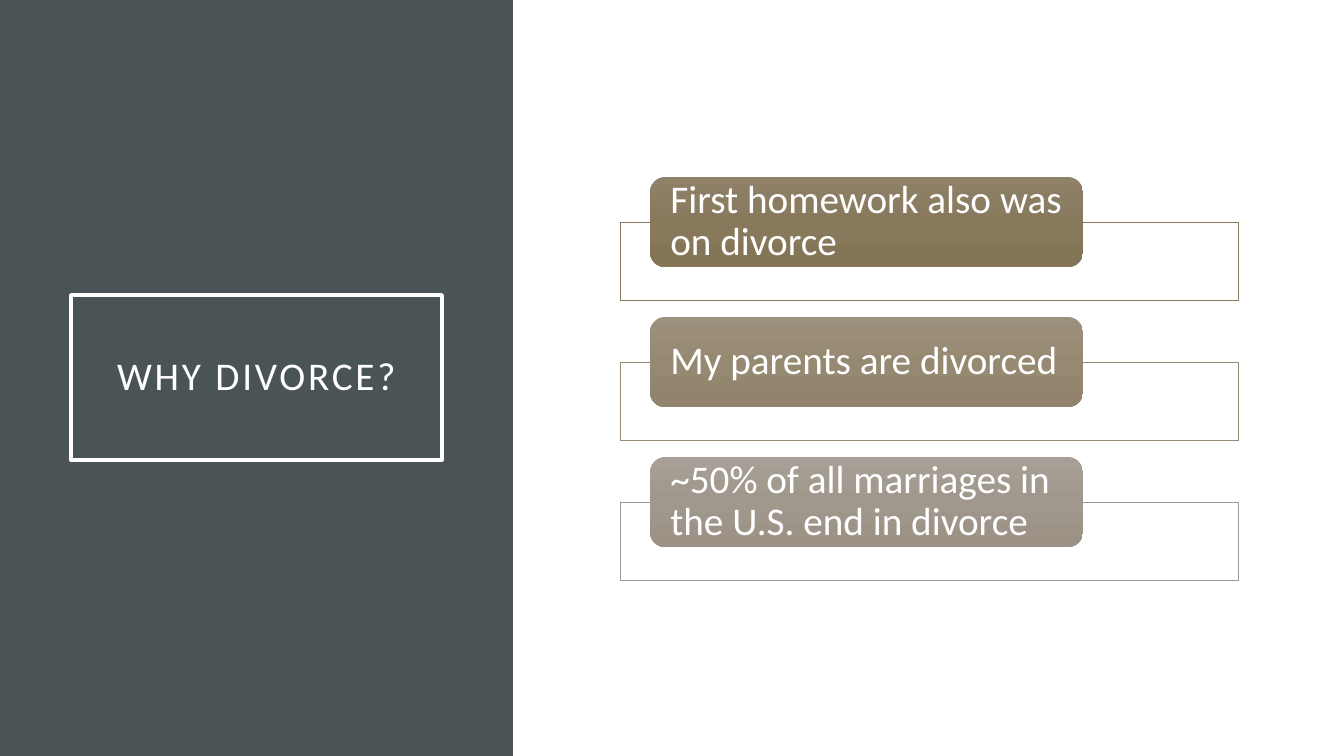
"""Build the "Why divorce?" slide: a dark title panel beside three reasons."""
from copy import deepcopy

from pptx import Presentation
from pptx import util as u
from pptx.dml.color import RGBColor
from pptx.enum import shapes, text
from pptx.oxml.ns import qn

TITLE = "WHY DIVORCE?"
REASONS = [
    ("First homework also was on divorce", "87795D", ("8F8269", "88795C", "847557")),
    ("My parents are divorced", "958973", ("9C917E", "968972", "91836C")),
    ("~50% of all marriages in the U.S. end in divorce", "A0988C", ("A79F95", "A0988C", "9B9285")),
]
COLORS = {"panel": "4A5356", "white": "FFFFFF"}
FONT, SIZE = "Calibri", 28
PX = 914400 / 100.8
SLIDE_W, SLIDE_H = 1344, 756
PANEL_W = 513
TITLE_BOX = (71, 295, 371, 165)
FRAME_X, FRAME_W, FRAME_H = 620, 618, 78
LABEL_X, LABEL_W, LABEL_H = 650, 433, 90
FIRST_Y, PITCH, FRAME_DROP = 177, 140, 45


def px(n):
    return u.Emu(round(n * PX))


def add_box(s, box, kind="RECTANGLE", fill=None, line=None, width=0.5):
    sp = s.shapes.add_shape(getattr(shapes.MSO_SHAPE, kind), *map(px, box))
    sp.shadow.inherit = False
    if fill:
        sp.fill.solid()
        sp.fill.fore_color.rgb = RGBColor.from_string(fill)
    else:
        sp.fill.background()
    if line:
        sp.line.color.rgb = RGBColor.from_string(line)
        sp.line.width = u.Pt(width)
    else:
        sp.line.fill.background()
    return sp


def add_gradient(sp, colors):
    sp.fill.gradient()
    sp.fill.gradient_angle = 270
    first = sp._element.spPr.find(".//" + qn("a:gs"))
    first.addnext(deepcopy(first))
    for i, (stop, color) in enumerate(zip(sp.fill.gradient_stops, colors)):
        stop.position = i / 2
        stop.color.rgb = RGBColor.from_string(color)


def add_text(sp, words, align, inset_x, inset_y):
    tf = sp.text_frame
    tf.word_wrap = True
    tf.vertical_anchor = text.MSO_ANCHOR.MIDDLE
    tf.margin_left = tf.margin_right = px(inset_x)
    tf.margin_top = tf.margin_bottom = px(inset_y)
    p = tf.paragraphs[0]
    p.alignment = align
    p.line_spacing = 0.9
    r = p.add_run()
    r.text = words
    r.font.name = FONT
    r.font.size = u.Pt(SIZE)
    r.font.color.rgb = RGBColor.from_string(COLORS["white"])
    return r


def main():
    prs = Presentation()
    prs.slide_width, prs.slide_height = px(SLIDE_W), px(SLIDE_H)
    s = prs.slides.add_slide(prs.slide_layouts[6])

    add_box(s, (0, 0, PANEL_W, SLIDE_H), fill=COLORS["panel"])
    title = add_box(s, TITLE_BOX, line=COLORS["white"], width=2.5)
    r = add_text(title, TITLE, text.PP_ALIGN.CENTER, 20, 20)
    r.font._element.set("spc", "200")

    for i, (words, line, gradient) in enumerate(REASONS):
        y = FIRST_Y + i * PITCH
        add_box(s, (FRAME_X, y + FRAME_DROP, FRAME_W, FRAME_H), fill=COLORS["white"], line=line)
        label = add_box(s, (LABEL_X, y, LABEL_W, LABEL_H), "ROUNDED_RECTANGLE")
        add_gradient(label, gradient)
        add_text(label, words, text.PP_ALIGN.LEFT, 16, 0)

    prs.save("out.pptx")


if __name__ == "__main__":
    main()
